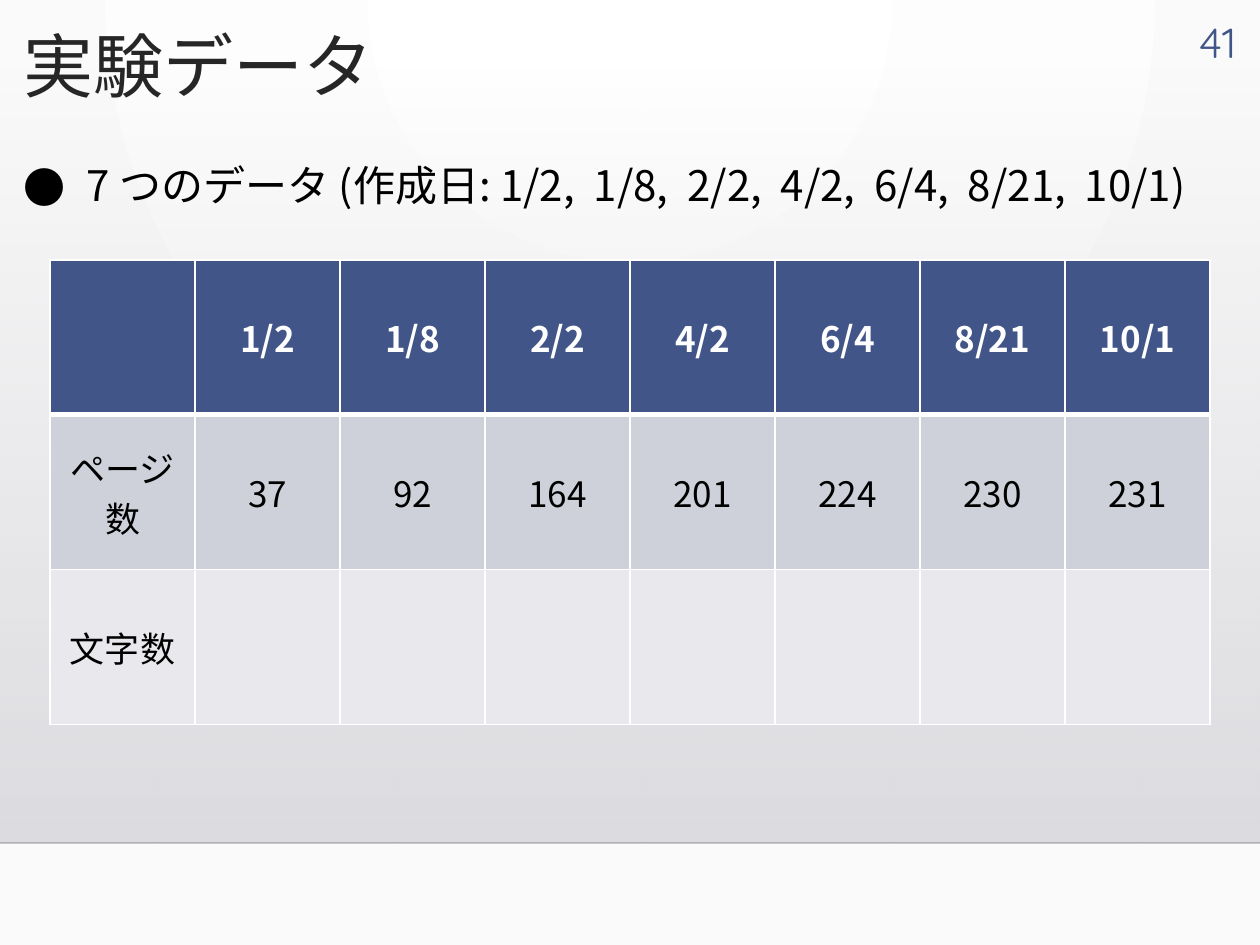
from dataclasses import dataclass

from lxml import etree
from pptx import Presentation
from pptx.dml.color import RGBColor
from pptx.enum.shapes import MSO_CONNECTOR, MSO_SHAPE
from pptx.enum.text import MSO_ANCHOR, PP_ALIGN
from pptx.oxml import parse_xml
from pptx.oxml.ns import nsdecls, qn
from pptx.util import Pt

RECTANGLE = MSO_SHAPE.RECTANGLE
STRAIGHT = MSO_CONNECTOR.STRAIGHT
TOP, MIDDLE = MSO_ANCHOR.TOP, MSO_ANCHOR.MIDDLE
LEFT, CENTER, RIGHT = PP_ALIGN.LEFT, PP_ALIGN.CENTER, PP_ALIGN.RIGHT


@dataclass(frozen=True)
class Theme:
    text_font: str = "Noto Sans CJK JP"
    number_font: str = "Quicksand"
    title_size: float = 40
    body_size: float = 24
    table_size: float = 20
    title: str = "262626"
    text: str = "000000"
    accent: str = "415588"
    white: str = "FFFFFF"
    paper: str = "FAFAFA"
    band_top: str = "DCDCE0"
    band_bottom: str = "DEDEE2"
    edge: str = "000001"


@dataclass(frozen=True)
class TextStyle:
    font: str
    size: float
    color: str
    bold: bool = False
    align: PP_ALIGN = LEFT


@dataclass(frozen=True)
class Box:
    left: float
    top: float
    width: float
    height: float

    def lengths(self) -> list:
        return [Pt(value) for value in (self.left, self.top, self.width, self.height)]


@dataclass(frozen=True)
class TableRow:
    texts: tuple
    fill: str
    style: TextStyle
    bottom_border: float = 1


THEME = Theme()
SLIDE_WIDTH, SLIDE_HEIGHT = 720, 540
BAND = Box(0, 36.72, SLIDE_WIDTH, 444.96)
TITLE = Box(6.5, 5.8, 440, 62)
NUMBER = Box(661.7, 5.8, 51.8, 30)
BULLET = Box(6.5, 73.4, 721.4, 44)
TABLE = Box(28.6, 148.5, 663, 265.5)
BULLET_INDENT = 36

TITLE_STYLE = TextStyle(THEME.text_font, THEME.title_size, THEME.title)
NUMBER_STYLE = TextStyle(THEME.number_font, THEME.body_size, THEME.accent, align=RIGHT)
BULLET_STYLE = TextStyle(THEME.text_font, THEME.body_size, THEME.text)
HEADER_STYLE = TextStyle(THEME.text_font, THEME.table_size, THEME.white, True, CENTER)
CELL_STYLE = TextStyle(THEME.text_font, THEME.table_size, THEME.text, align=CENTER)

ROWS = (
    TableRow(("", "1/2", "1/8", "2/2", "4/2", "6/4", "8/21", "10/1"), THEME.accent, HEADER_STYLE, 3),
    TableRow(("ページ数", "37", "92", "164", "201", "224", "230", "231"), "CFD1DA", CELL_STYLE),
    TableRow(("文字数",) + ("",) * 7, "E9E9ED", CELL_STYLE),
)


def write_text(frame, text: str, style: TextStyle) -> None:
    paragraph = frame.paragraphs[0]
    paragraph.alignment = style.align
    run = paragraph.add_run()
    run.text = text
    values = {"name": style.font, "size": Pt(style.size), "bold": style.bold}
    for name, value in values.items():
        setattr(run.font, name, value)
    run.font.color.rgb = RGBColor.from_string(style.color)
    properties = run._r.get_or_add_rPr()
    etree.SubElement(properties, qn("a:ea"), typeface=style.font)


def format_frame(frame, anchor: MSO_ANCHOR) -> None:
    values = {
        "word_wrap": True,
        "vertical_anchor": anchor,
        "margin_left": Pt(7.2),
        "margin_right": Pt(7.2),
        "margin_top": Pt(3.6),
        "margin_bottom": Pt(3.6),
    }
    for name, value in values.items():
        setattr(frame, name, value)


def add_text(slide, box: Box, text: str, style: TextStyle):
    shape = slide.shapes.add_textbox(*box.lengths())
    format_frame(shape.text_frame, TOP)
    write_text(shape.text_frame, text, style)
    return shape


def set_gradient(fill, properties, colors: tuple, direction: str) -> None:
    fill.solid()
    stops = "".join(
        f'<a:gs pos="{position}"><a:srgbClr val="{color}"><a:alpha val="{alpha}"/></a:srgbClr></a:gs>'
        for position, color, alpha in colors
    )
    gradient = parse_xml(
        f'<a:gradFill {nsdecls("a")} rotWithShape="1"><a:gsLst>{stops}</a:gsLst>{direction}</a:gradFill>'
    )
    solid = properties.find(qn("a:solidFill"))
    properties.replace(solid, gradient)


def draw_backdrop(slide) -> None:
    background_fill = slide.background.fill
    background_fill.solid()
    set_gradient(
        background_fill,
        slide._element.cSld.bg.bgPr,
        ((0, THEME.white, 100000), (100000, THEME.paper, 100000)),
        '<a:path path="circle"><a:fillToRect l="43000" t="0" r="43000" b="100000"/></a:path>',
    )
    band = slide.shapes.add_shape(RECTANGLE, *BAND.lengths())
    band.shadow.inherit = False
    band.line.fill.background()
    set_gradient(
        band.fill,
        band._element.spPr,
        ((0, THEME.band_top, 0), (100000, THEME.band_bottom, 100000)),
        '<a:lin ang="5400000" scaled="0"/>',
    )
    bottom = Pt(BAND.top + BAND.height)
    edge = slide.shapes.add_connector(STRAIGHT, Pt(0), bottom, Pt(SLIDE_WIDTH), bottom)
    edge.line.width = Pt(1)
    edge.line.color.rgb = RGBColor.from_string(THEME.edge)
    properties = edge._element.spPr
    color = properties.find(".//" + qn("a:srgbClr"))
    etree.SubElement(color, qn("a:alpha"), val="20000")
    etree.SubElement(properties, qn("a:effectLst"))


def draw_title(slide, text: str) -> None:
    title = slide.shapes.title
    for name, value in zip(("left", "top", "width", "height"), TITLE.lengths()):
        setattr(title, name, value)
    format_frame(title.text_frame, MIDDLE)
    write_text(title.text_frame, text, TITLE_STYLE)
    slide.shapes._spTree.append(title._element)


def draw_bullet(slide, text: str) -> None:
    shape = add_text(slide, BULLET, text, BULLET_STYLE)
    paragraph = shape.text_frame.paragraphs[0]
    paragraph.line_spacing = 1.5
    properties = paragraph._p.get_or_add_pPr()
    properties.set("marL", str(Pt(BULLET_INDENT)))
    properties.set("indent", str(-Pt(BULLET_INDENT)))
    color = etree.SubElement(properties, qn("a:buClr"))
    etree.SubElement(color, qn("a:srgbClr"), val=THEME.text)
    etree.SubElement(properties, qn("a:buFont"), typeface=THEME.text_font)
    etree.SubElement(properties, qn("a:buChar"), char="●")


def set_borders(cell, widths: dict) -> None:
    properties = cell._tc.get_or_add_tcPr()
    for index, (side, width) in enumerate(widths.items()):
        border = parse_xml(
            f'<a:{side} {nsdecls("a")} w="{Pt(width)}"><a:solidFill>'
            f'<a:srgbClr val="{THEME.white}"/></a:solidFill></a:{side}>'
        )
        properties.insert(index, border)


def draw_table(slide, rows: tuple) -> None:
    column_count = len(rows[0].texts)
    table = slide.shapes.add_table(len(rows), column_count, *TABLE.lengths()).table
    for column in table.columns:
        column.width = Pt(TABLE.width / column_count)
    top_border = 1
    for row_index, row in enumerate(rows):
        table.rows[row_index].height = Pt(TABLE.height / len(rows))
        widths = {"lnL": 1, "lnR": 1, "lnT": top_border, "lnB": row.bottom_border}
        for column_index, text in enumerate(row.texts):
            cell = table.cell(row_index, column_index)
            cell.vertical_anchor = MIDDLE
            cell.fill.solid()
            cell.fill.fore_color.rgb = RGBColor.from_string(row.fill)
            set_borders(cell, widths)
            if text:
                write_text(cell.text_frame, text, row.style)
        top_border = row.bottom_border


def main() -> None:
    presentation = Presentation()
    presentation.slide_width, presentation.slide_height = Pt(SLIDE_WIDTH), Pt(SLIDE_HEIGHT)
    slide = presentation.slides.add_slide(presentation.slide_layouts[5])
    draw_backdrop(slide)
    add_text(slide, NUMBER, "41", NUMBER_STYLE)
    draw_title(slide, "実験データ")
    draw_bullet(slide, "7 つのデータ (作成日: 1/2,  1/8,  2/2,  4/2,  6/4,  8/21,  10/1)")
    draw_table(slide, ROWS)
    presentation.save("out.pptx")


if __name__ == "__main__":
    main()
